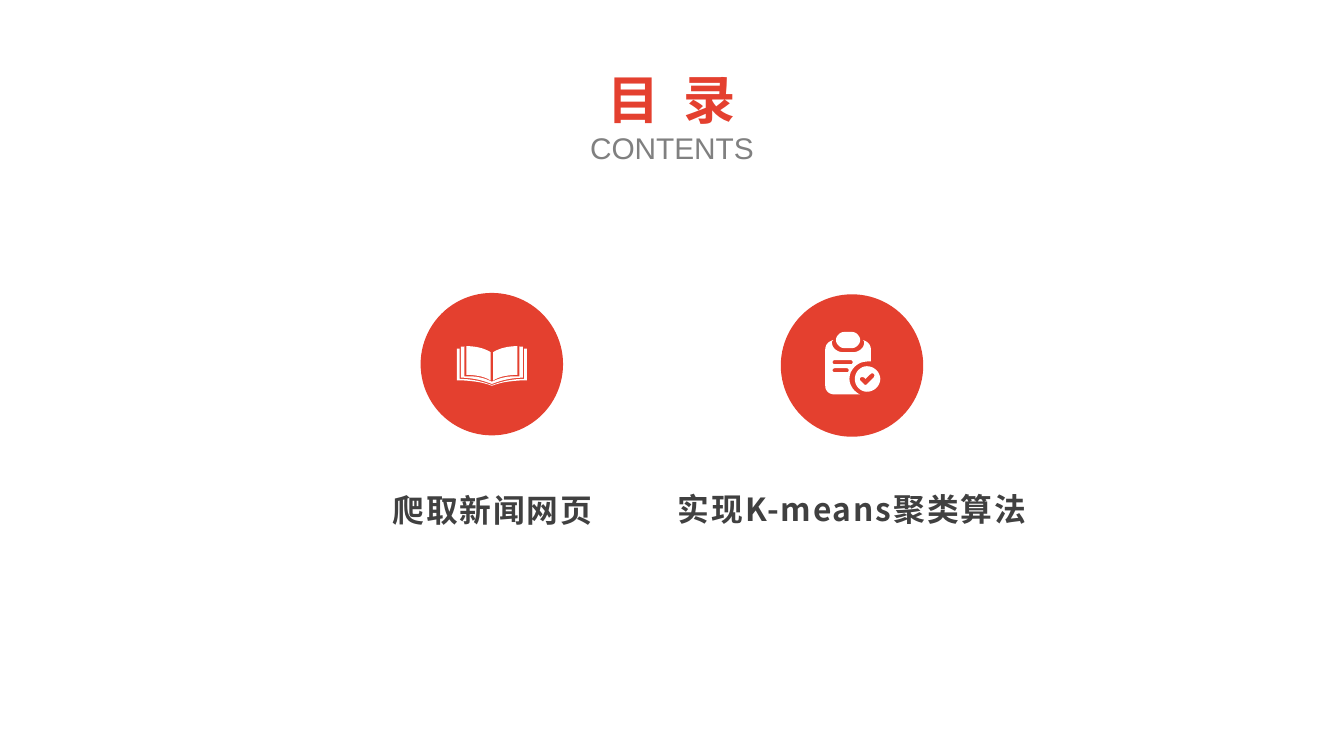
from pptx import Presentation
from pptx.dml.color import RGBColor
from pptx.enum.shapes import MSO_SHAPE as Preset
from pptx.enum.text import MSO_AUTO_SIZE as AutoSize, PP_ALIGN as Align
from pptx.oxml.ns import qn
from pptx.util import Inches, Pt

# Content
COLORS = {"accent": "E4402F", "muted": "808080", "text": "404040", "icon": "FFFFFF"}
CJK = "Noto Sans CJK SC"
TITLE = [
    dict(text="目  录", size=28, font="Arial Narrow", color="accent", bold=True),
    dict(text="CONTENTS", size=16, font="Arial", color="muted", bold=False),
]

# Icon outlines in hundredths of an inch; the book is its left half
BOOK_WIDTH = 52
BOOK_HALF = [
    "M 26 29.5 C 19 27 12 25 4 25 L 2 25 L 2 2.5 L 0 2.5 L 0 26 C 9 26 18 27 26 30",
    "M 25 26 L 25 5 C 20 2 13 0.4 7 0.6 L 7 22 C 14 22 20 23 25 26",
    "M 26 28.7 C 19 26 11 24 3 24 L 3 1 L 5.6 0.8 L 5.6 23 C 14 22.7 20 24 26 27",
]
CLIPBOARD = [
    # clip
    "M 26 6 C 26 9 23 12 20 12 L 14 12 C 11 12 8 9 8 6 C 8 3 11 0 14 0 "
    "L 20 0 C 23 0 26 3 26 6",
    # board
    "M 28 6 C 29 7 29 7 29 8 C 29 12 25 15 21 15 L 13 15 C 9 15 5 12 5 8 "
    "C 5 7 5 7 6 6 C 2 7 0 10 0 13 L 0 40 C 0 44 3 46.5 7 46.5 L 26 46.5 "
    "C 22 45 18 40 18 35 C 18 28 24 22 31 22 C 32 22 33 22 34 22 L 34 13 C 34 10 32 7 28 6",
    # written lines
    "M 16 30 L 7 30 C 5 30 5 27 7 27 L 16 27 C 18 27 18 30 16 30",
    "M 19 24 L 7 24 C 5 24 5 21 7 21 L 19 21 C 21 21 21 24 19 24",
    # badge and tick
    "M 31 25.5 C 26 25.5 22 30 22 35 C 22 40 26 44.5 31 44.5 C 36.5 44.5 41 40 41 35 "
    "C 41 30 36.5 25.5 31 25.5",
    "M 36 34 L 31 39 C 30 39.5 29.5 39.5 29 39 L 26 36 C 25 34 27 33 29 34 L 30 35 "
    "L 34 31 C 36 30 37.5 32 36 34",
]
ITEMS = [
    dict(label="爬取新闻网页", circle=(3.13, 2.18), icon=(3.4, 2.57), box=(2.7, 3.46, 1.93, 0.48)),
    dict(label="实现K-means聚类算法", circle=(5.81, 2.19), icon=(6.14, 2.47), box=(4.92, 3.45, 2.84, 0.53)),
]
CIRCLE_SIZE = 1.06
CURVE_STEPS = 8
UNIT = 10  # drawing units per hundredth of an inch


def outline(path):
    """Turn a path of M, L and C commands into a list of points."""
    points, tokens = [], path.split()
    while tokens:
        count = 6 if tokens.pop(0) == "C" else 2
        values = [float(token) for token in tokens[:count]]
        del tokens[:count]
        pairs = list(zip(values[::2], values[1::2]))
        if count == 2:
            points += pairs
            continue
        corners = [points[-1]] + pairs
        for step in range(1, CURVE_STEPS + 1):
            t = step / CURVE_STEPS
            weights = ((1 - t) ** 3, 3 * t * (1 - t) ** 2, 3 * t * t * (1 - t), t ** 3)
            points.append(tuple(sum(w * corner[axis] for w, corner in zip(weights, corners))
                                for axis in (0, 1)))
    return points


def paint(shape, color):
    shape.shadow.inherit = False
    shape.fill.solid()
    shape.fill.fore_color.rgb = RGBColor.from_string(COLORS[color])
    shape.line.fill.background()


def add_icon(slide, contours, left, top):
    scaled = [[(x * UNIT, y * UNIT) for x, y in contour] for contour in contours]
    builder = slide.shapes.build_freeform(*scaled[0][0], scale=Inches(1) / (100 * UNIT))
    for index, (start, *rest) in enumerate(scaled):
        if index:
            builder.move_to(*start)
        builder.add_line_segments(rest, close=True)
    paint(builder.convert_to_shape(Inches(left), Inches(top)), "icon")


def add_text(slide, box, lines):
    frame = slide.shapes.add_textbox(*map(Inches, box)).text_frame
    frame.word_wrap = True
    frame.auto_size = AutoSize.SHAPE_TO_FIT_TEXT
    for index, line in enumerate(lines):
        paragraph = frame.add_paragraph() if index else frame.paragraphs[0]
        paragraph.alignment = Align.CENTER
        paragraph.line_spacing = line.get("line_spacing")
        run = paragraph.add_run()
        run.text = line["text"]
        font = run.font
        font.size, font.bold, font.name = Pt(line["size"]), line["bold"], line["font"]
        font.color.rgb = RGBColor.from_string(COLORS[line["color"]])
        properties = run._r.get_or_add_rPr()
        properties.set("spc", str(line.get("tracking", 0) * 100))
        east_asian = properties.makeelement(qn("a:ea"), {"typeface": CJK})
        properties.find(qn("a:latin")).addnext(east_asian)


# Slide, 16:9
presentation = Presentation()
presentation.slide_width = Inches(10)
presentation.slide_height = presentation.slide_width * 9 // 16
slide = presentation.slides.add_slide(presentation.slide_layouts[6])

# Heading
add_text(slide, (4.19, 0.45, 1.62, 0.84), TITLE)

# Circles
for item in ITEMS:
    circle = slide.shapes.add_shape(Preset.OVAL, *map(Inches, item["circle"]),
                                    Inches(CIRCLE_SIZE), Inches(CIRCLE_SIZE))
    paint(circle, "accent")

# Labels
for item in ITEMS:
    add_text(slide, item["box"], [dict(text=item["label"], size=17, font=CJK, color="text",
                                       bold=True, line_spacing=1.5, tracking=1)])

# Icons
left_half = [outline(path) for path in BOOK_HALF]
right_half = [[(BOOK_WIDTH - x, y) for x, y in contour] for contour in left_half]
clipboard = [outline(path) for path in CLIPBOARD]
for item, contours in zip(ITEMS, (left_half + right_half, clipboard)):
    add_icon(slide, contours, *item["icon"])

presentation.save("out.pptx")
